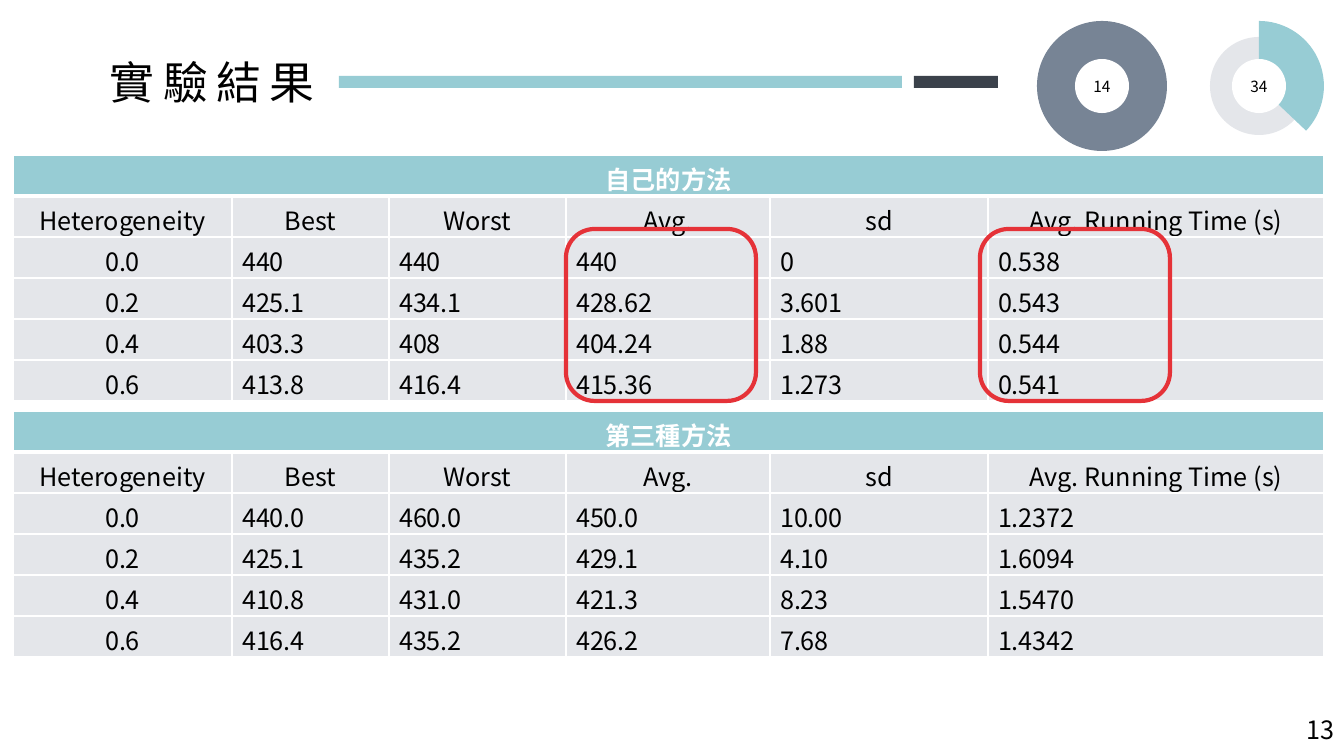
from dataclasses import dataclass

from lxml.etree import SubElement
from pptx import Presentation
from pptx.dml.color import RGBColor
from pptx.enum.shapes import MSO_SHAPE as Shape
from pptx.enum.text import MSO_ANCHOR as Anchor, MSO_AUTO_SIZE as AutoSize, PP_ALIGN as Align
from pptx.oxml.ns import qn
from pptx.util import Emu, Pt


@dataclass(frozen=True)
class Theme:
    font: str = "Noto Sans CJK SC"
    black: str = "000000"
    white: str = "FFFFFF"
    teal: str = "97CCD4"
    dark: str = "3B424B"
    slate: str = "778495"
    pale: str = "E4E6EA"
    red: str = "E53238"
    title: int = 32
    body: int = 18
    badge: int = 11


def px(length):
    return Emu(round(length * 914400 / 100.8))


def rgb(color):
    return RGBColor.from_string(color)


class SlideBuilder:
    def __init__(self, page, theme):
        self.page = page
        self.theme = theme

    def put_text(self, frame, text, size, color=None, bold=False, align=Align.LEFT, spacing=0):
        para = frame.paragraphs[0]
        para.text = text
        para.alignment = align
        font = para.font
        font.size = Pt(size)
        font.bold = bold
        font.color.rgb = rgb(color or self.theme.black)
        font.name = self.theme.font
        SubElement(font._rPr, qn("a:ea"), typeface=self.theme.font)
        if spacing:
            font._rPr.set("spc", str(spacing * 100))

    def label(self, left, top, width, height, text, size, spacing=0):
        box = self.page.shapes.add_textbox(px(left), px(top), px(width), px(height))
        box.text_frame.word_wrap = False
        box.text_frame.auto_size = AutoSize.SHAPE_TO_FIT_TEXT
        self.put_text(box.text_frame, text, size, spacing=spacing)

    def shape(self, kind, left, top, width, height, fill=None, line=None, parent=None):
        shapes = (parent or self.page).shapes
        shape = shapes.add_shape(kind, px(left), px(top), px(width), px(height))
        shape.shadow.inherit = False
        if fill:
            shape.fill.solid()
            shape.fill.fore_color.rgb = rgb(fill)
        else:
            shape.fill.background()
        if line:
            shape.line.color.rgb = rgb(line)
            shape.line.width = Pt(3)
        else:
            shape.line.fill.background()
        return shape

    def donut(self, center_x, center_y, number, color, angles=None):
        """Draw a ring with a number; angles (degrees) limit its coloured part."""
        group = self.page.shapes.add_group_shape()

        def disc(kind, size, fill):
            return self.shape(kind, center_x - size // 2, center_y - size // 2,
                              size, size, fill, parent=group)

        disc(Shape.OVAL, 98, self.theme.pale)
        rim = disc(Shape.PIE if angles else Shape.OVAL, 130, color)
        for index, angle in enumerate(angles or ()):
            rim.adjustments[index] = angle * 0.6
        frame = disc(Shape.OVAL, 54, self.theme.white).text_frame
        frame.margin_left = frame.margin_right = 0
        frame.vertical_anchor = Anchor.MIDDLE
        self.put_text(frame, number, self.theme.badge, align=Align.CENTER)

    def cell(self, cell, fill, bottom=1):
        props = cell._tc.get_or_add_tcPr()
        for side, width in (("L", 1), ("R", 1), ("T", 1), ("B", bottom)):
            line = SubElement(props, qn(f"a:ln{side}"), w=str(Pt(width)))
            SubElement(SubElement(line, qn("a:solidFill")), qn("a:srgbClr"), val=self.theme.white)
        cell.fill.solid()
        cell.fill.fore_color.rgb = rgb(fill)

    def table(self, left, top, widths, row_height, title, rows):
        theme = self.theme
        count = len(rows) + 1
        table = self.page.shapes.add_table(count, len(widths), px(left), px(top),
                                           px(sum(widths)), px(row_height * count)).table
        table.first_row = table.horz_banding = False
        for column, width in zip(table.columns, widths):
            column.width = px(width)
        for row in table.rows:
            row.height = px(row_height)
        # Title row across all columns
        for cell in table.rows[0].cells:
            self.cell(cell, theme.teal, bottom=3)
        table.cell(0, 0).merge(table.cell(0, len(widths) - 1))
        self.put_text(table.cell(0, 0).text_frame, title, theme.body, theme.white, True, Align.CENTER)
        # Column names and first column are centred, values are left-aligned
        for r, values in enumerate(rows, 1):
            for c, value in enumerate(values):
                cell = table.cell(r, c)
                self.cell(cell, theme.pale)
                align = Align.CENTER if r == 1 or c == 0 else Align.LEFT
                self.put_text(cell.text_frame, value, theme.body, align=align)


COLUMNS = ("Heterogeneity", "Best", "Worst", "Avg.", "sd", "Avg. Running Time (s)")
WIDTHS = (219, 157, 177, 204, 218, 336)
OWN_METHOD = (
    ("0.0", "440", "440", "440", "0", "0.538"),
    ("0.2", "425.1", "434.1", "428.62", "3.601", "0.543"),
    ("0.4", "403.3", "408", "404.24", "1.88", "0.544"),
    ("0.6", "413.8", "416.4", "415.36", "1.273", "0.541"),
)
THIRD_METHOD = (
    ("0.0", "440.0", "460.0", "450.0", "10.00", "1.2372"),
    ("0.2", "425.1", "435.2", "429.1", "4.10", "1.6094"),
    ("0.4", "410.8", "431.0", "421.3", "8.23", "1.5470"),
    ("0.6", "416.4", "435.2", "426.2", "7.68", "1.4342"),
)


def main():
    deck = Presentation()
    deck.slide_width, deck.slide_height = px(1344), px(756)
    theme = Theme()
    slide = SlideBuilder(deck.slides.add_slide(deck.slide_layouts[6]), theme)

    # Heading and rule
    slide.label(100, 50, 235, 65, "實驗結果", theme.title, spacing=6)
    slide.shape(Shape.RECTANGLE, 339, 76, 563, 12, theme.teal)
    slide.shape(Shape.RECTANGLE, 914, 76, 84, 12, theme.dark)

    # Progress rings
    slide.donut(1102, 86, "14", theme.slate)
    slide.donut(1259, 86, "34", theme.teal, angles=(270, 43.47))

    # Result tables
    for top, title, results in ((155, "自己的方法", OWN_METHOD), (411, "第三種方法", THIRD_METHOD)):
        slide.table(13, top, WIDTHS, 41, title, (COLUMNS, *results))

    # Highlights on average and running time
    for left in (566, 980):
        slide.shape(Shape.ROUNDED_RECTANGLE, left, 229, 190, 172, line=theme.red)

    # Page number
    slide.label(1297, 709, 50, 40, "13", theme.body)

    deck.save("out.pptx")


if __name__ == "__main__":
    main()
